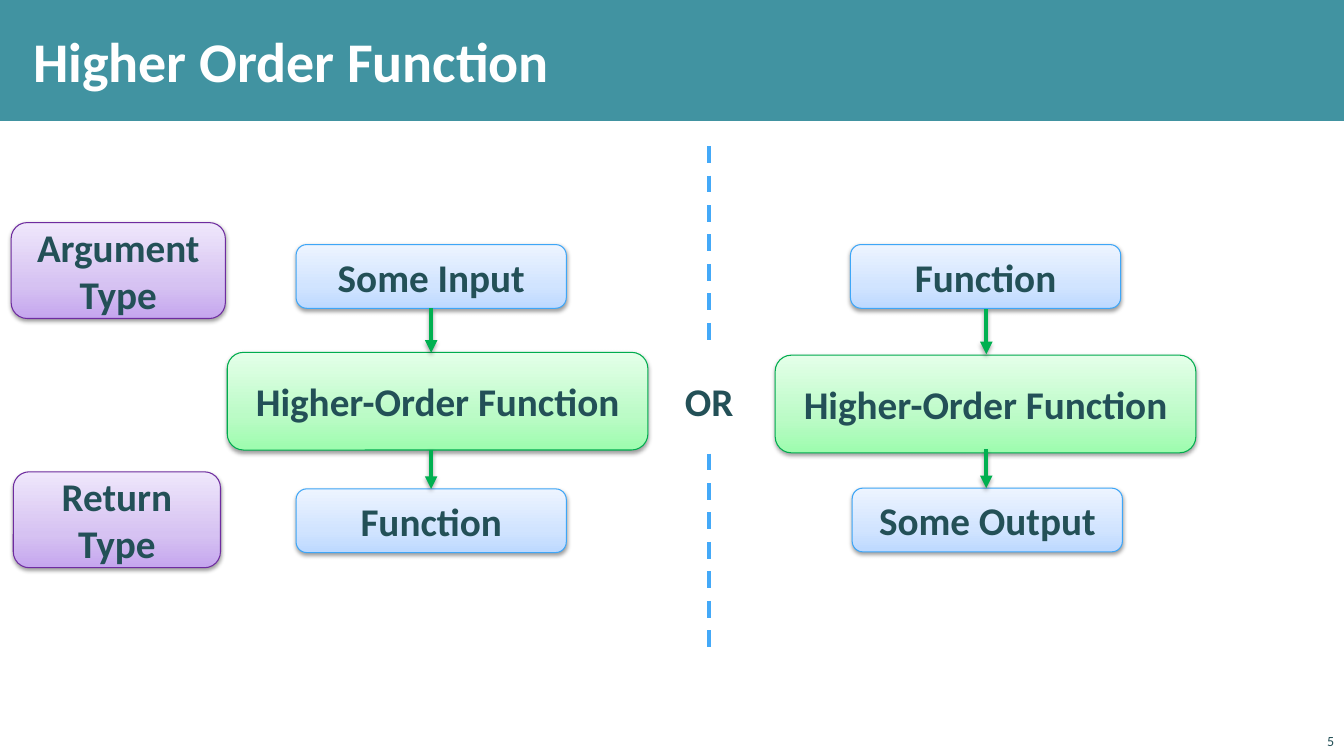
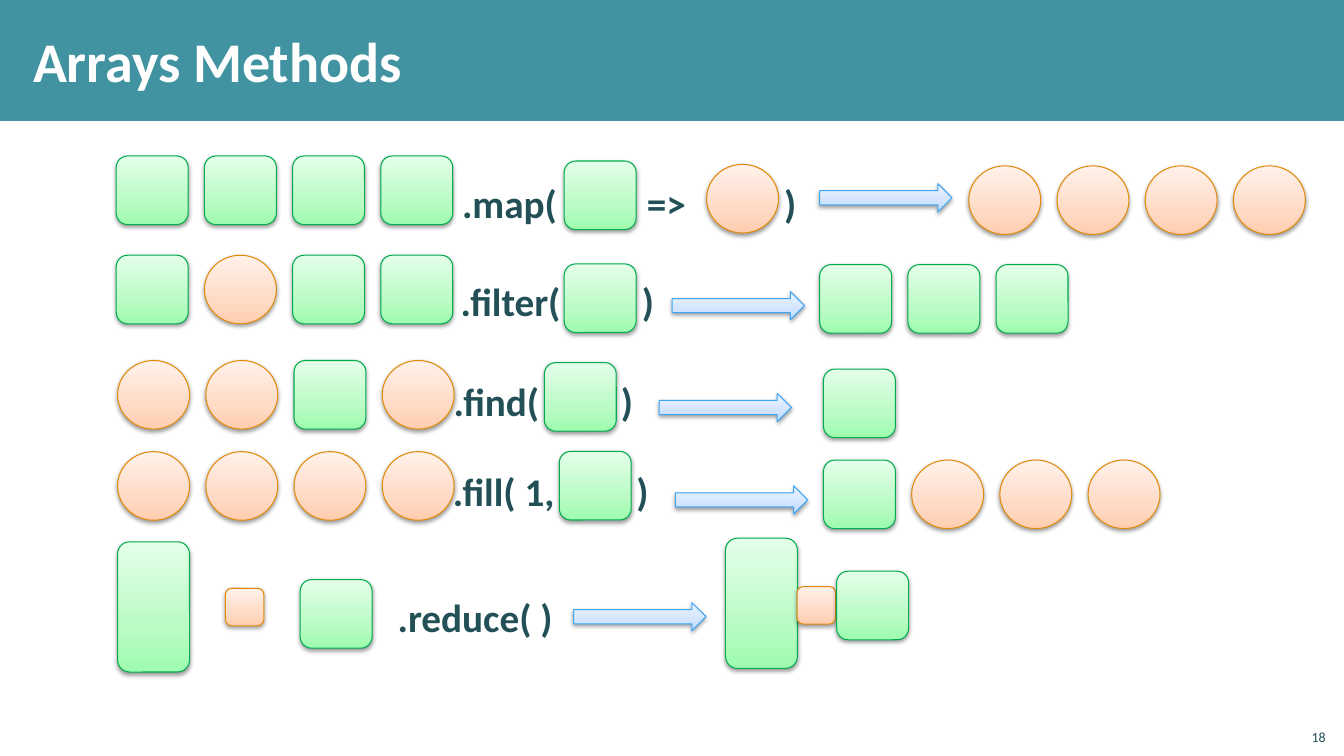
"""Build two slides on higher-order functions and array methods."""
from lxml import etree
from pptx import Presentation
from pptx.dml.color import RGBColor
from pptx.enum.dml import MSO_LINE
from pptx.enum.shapes import MSO_CONNECTOR, MSO_SHAPE as SHAPE
from pptx.enum.text import MSO_ANCHOR as ANCHOR, PP_ALIGN as ALIGN
from pptx.oxml import parse_xml
from pptx.oxml.ns import nsdecls, qn
from pptx.util import Pt

rgb = RGBColor.from_string
INK, BAND, WHITE, ARROW, DIVIDER = "235057", "4193A1", "FFFFFF", "00B050", "44A9F8"
PAINTS = {
    "purple": ("6E2C9F", "C5A6EE", "D6C2F2", "EFE7FB"),
    "blue": ("3EA6F7", "BDD9FF", "D1E4FF", "EDF4FF"),
    "green": ("00AC4E", "9DFCAE", "BBFBC6", "E4FFE9"),
    "orange": ("E28B0B", "FFCDAF", "FFDBC6", "FFF1EA"),
}
GRADIENT = (
    f'<a:gradFill {nsdecls("a")} rotWithShape="1"><a:gsLst>'
    '<a:gs pos="0"><a:srgbClr val="%s"/></a:gs>'
    '<a:gs pos="35000"><a:srgbClr val="%s"/></a:gs>'
    '<a:gs pos="100000"><a:srgbClr val="%s"/></a:gs>'
    '</a:gsLst><a:lin ang="16200000" scaled="1"/></a:gradFill>'
)
SHADOW = (
    f'<a:effectLst {nsdecls("a")}><a:outerShdw blurRad="40000" dist="%d" '
    'dir="5400000" rotWithShape="0"><a:srgbClr val="000000">'
    '<a:alpha val="%d"/></a:srgbClr></a:outerShdw></a:effectLst>'
)


def block(s, geom, paint, x, y, w, h):
    """Add a shape with a gradient, a thin outline and a soft shadow."""
    sp = s.shapes.add_shape(geom, Pt(x), Pt(y), Pt(w), Pt(h))
    line, *stops = PAINTS[paint]
    sp.line.color.rgb = rgb(line)
    sp.line.width = Pt(0.75)
    pr = sp.element.spPr
    pr.insert(2, parse_xml(GRADIENT % tuple(stops)))
    pr.append(parse_xml(SHADOW % (20000, 38000)))
    return sp


def write(tf, text, size=28, color=INK, bold=True, align=ALIGN.CENTER, anchor=ANCHOR.MIDDLE):
    """Fill a text frame with one formatted paragraph."""
    tf.word_wrap = True
    tf.vertical_anchor = anchor
    p = tf.paragraphs[0]
    p.alignment = align
    r = p.add_run()
    r.text = text
    r.font.color.rgb = rgb(color)
    for name, value in {"name": "Calibri", "size": Pt(size), "bold": bold}.items():
        setattr(r.font, name, value)
    return p


prs = Presentation()
prs.slide_width, prs.slide_height = Pt(960), Pt(540)
layout = prs.slide_layouts[5]
slides = []
for title, number, x, y in [
    ("Higher Order Function", "5", 931, 516),
    ("Arrays Methods", "18", 925, 512.6),
]:
    s = prs.slides.add_slide(layout)
    slides.append(s)
    sp = s.shapes.title
    for name, value in {"left": 15, "top": 8, "width": 771, "height": 70}.items():
        setattr(sp, name, Pt(value))
    tf = sp.text_frame
    for side, value in {"left": 8.64, "right": 8.64, "top": 2.88, "bottom": 2.88}.items():
        setattr(tf, "margin_" + side, Pt(value))
    write(tf, title, 40, WHITE, align=ALIGN.LEFT)
    sp = s.shapes.add_textbox(Pt(x), Pt(y), Pt(29), Pt(23))
    write(sp.text_frame, number, 10, bold=False, align=ALIGN.RIGHT, anchor=ANCHOR.BOTTOM)

band = slides[0].shapes.add_shape(SHAPE.RECTANGLE, 0, 0, prs.slide_width, Pt(86.4))
band.shadow.inherit = False
band.fill.solid()
band.fill.fore_color.rgb = rgb(BAND)
band.line.fill.background()
layout.shapes.element.insert(2, band.element)

s = slides[0]
for text, paint, x, y, w, h in [
    ("Argument Type", "purple", 8, 159, 153, 68.5),
    ("Return Type", "purple", 9.5, 337, 148, 68.5),
    ("Some Input", "blue", 211.5, 174.7, 193, 45.5),
    ("Function", "blue", 211.5, 349.2, 193, 45.5),
    ("Function", "blue", 607.5, 174.7, 193, 45.5),
    ("Some Output", "blue", 608.7, 348.7, 193, 45.5),
    ("Higher-Order Function", "green", 162.3, 251.7, 300.5, 69.8),
    ("Higher-Order Function", "green", 553.7, 253.7, 300.5, 69.8),
]:
    write(block(s, SHAPE.ROUNDED_RECTANGLE, paint, x, y, w, h).text_frame, text)

for x, top, bottom, color in [
    (308, 220.3, 252, ARROW),
    (308, 321.3, 349.2, ARROW),
    (704.5, 221, 253, ARROW),
    (704.5, 321, 348.7, ARROW),
    (506.3, 104.4, 244.8, DIVIDER),
    (506.3, 324, 465, DIVIDER),
]:
    cn = s.shapes.add_connector(MSO_CONNECTOR.STRAIGHT, Pt(x), Pt(top), Pt(x), Pt(bottom))
    cn.line.color.rgb = rgb(color)
    cn.line.width = Pt(3)
    pr = cn.element.spPr
    if color == ARROW:
        etree.SubElement(cn.line._get_or_add_ln(), qn("a:tailEnd"), type="triangle")
        pr.append(parse_xml(SHADOW % (23000, 35000)))
    else:
        cn.line.dash_style = MSO_LINE.DASH
        etree.SubElement(pr, qn("a:effectLst"))

sp = s.shapes.add_textbox(Pt(478), Pt(255.6), Pt(57), Pt(61))
write(sp.text_frame, "OR")

s = slides[1]
PITCH = 63
ITEMS = {
    "square": (SHAPE.ROUNDED_RECTANGLE, "green", 51.4, 49),
    "circle": (SHAPE.OVAL, "orange", 51.4, 49),
    "tall": (SHAPE.ROUNDED_RECTANGLE, "green", 51.4, 93),
    "small": (SHAPE.ROUNDED_RECTANGLE, "orange", 27.5, 26.8),
    "arrow": (SHAPE.RIGHT_ARROW, "blue", 94.5, 20.2),
}
for names, x, y in [
    ("square square square square", 83, 111.4),
    ("square", 403, 115),
    ("circle", 504.7, 117.4),
    ("arrow", 585.5, 131.2),
    ("circle circle circle circle", 692, 118.5),
    ("square circle square square", 83, 182.3),
    ("square", 403, 188.5),
    ("arrow", 480.2, 208.2),
    ("square square square", 585.5, 189),
    ("circle circle square circle", 84, 257.5),
    ("square", 388.8, 259),
    ("arrow", 470.8, 281),
    ("square", 588.2, 263.6),
    ("circle circle circle circle", 84, 322.6),
    ("square", 399.5, 322.4),
    ("arrow", 482.5, 347),
    ("square circle circle circle", 588.2, 328.6),
    ("tall", 84, 387),
    ("small", 161, 420.2),
    ("square", 214.4, 414),
    ("arrow", 409.8, 430.4),
    ("tall", 518.2, 384.4),
    ("small", 569.4, 419),
    ("square", 597.6, 408),
]:
    for i, name in enumerate(names.split()):
        geom, paint, w, h = ITEMS[name]
        block(s, geom, paint, x + i * PITCH, y, w, h)

for text, x, y, stops in [
    (".map(\t=>\t)", 330, 111.6, (462, 560)),
    (".filter(\t)", 329, 181.4, (458.5,)),
    (".find(\t)", 324, 252.7, (443.5,)),
    (".fill( 1,\t)", 323.5, 316.8, (454.5,)),
    (".reduce( )", 284, 406.8, ()),
]:
    sp = s.shapes.add_textbox(Pt(x), Pt(y), Pt(250), Pt(67))
    tf = sp.text_frame
    tf.margin_left = tf.margin_right = 0
    p = write(tf, text, align=ALIGN.LEFT)
    if stops:
        tabs = etree.SubElement(p._p.get_or_add_pPr(), qn("a:tabLst"))
        for stop in stops:
            etree.SubElement(tabs, qn("a:tab"), pos=str(Pt(stop - x)), algn="l")

prs.save("out.pptx")
